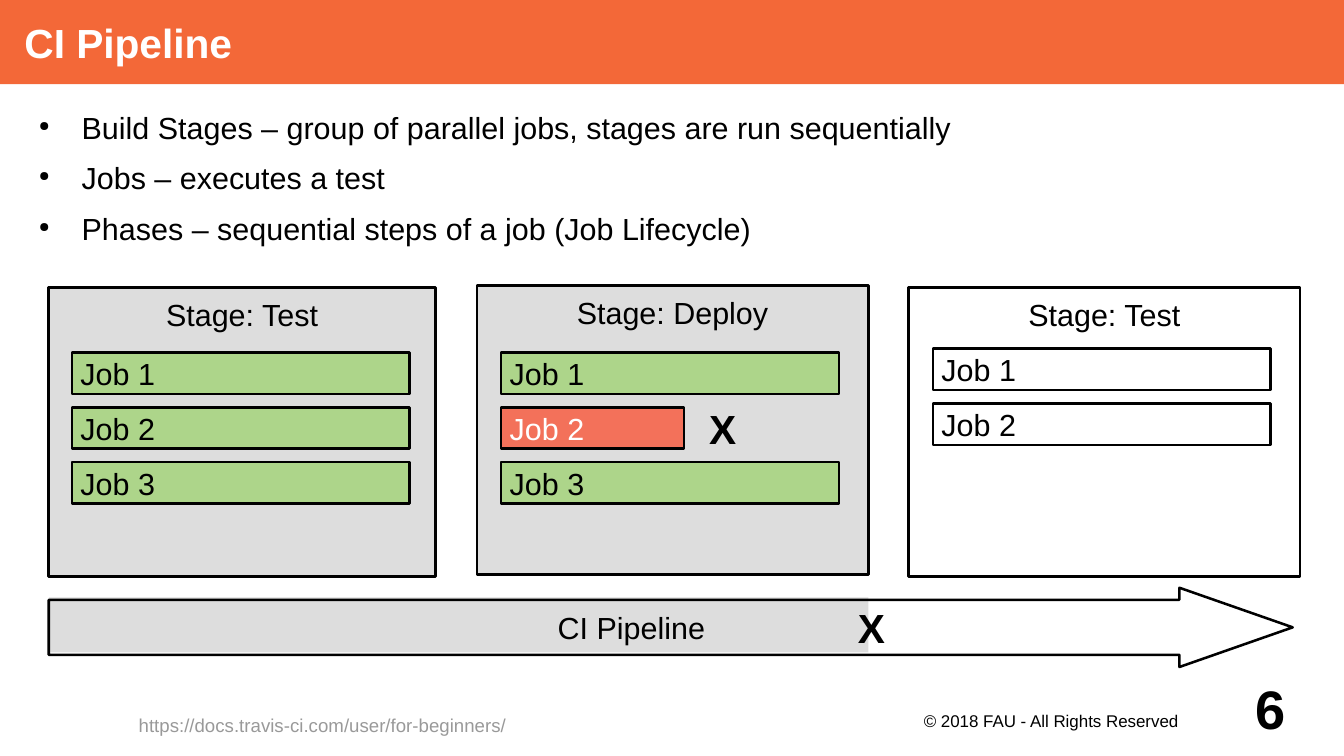
from dataclasses import dataclass
from typing import Optional

from lxml import etree
from pptx import Presentation
from pptx.dml.color import RGBColor
from pptx.enum.shapes import MSO_SHAPE
from pptx.enum.text import MSO_ANCHOR, PP_ALIGN
from pptx.oxml.ns import qn
from pptx.util import Inches, Pt

RECT, ARROW = MSO_SHAPE.RECTANGLE, MSO_SHAPE.RIGHT_ARROW
TOP, MIDDLE = MSO_ANCHOR.TOP, MSO_ANCHOR.MIDDLE
LEFT, CENTER, RIGHT = PP_ALIGN.LEFT, PP_ALIGN.CENTER, PP_ALIGN.RIGHT

BLACK = RGBColor(0x00, 0x00, 0x00)
WHITE = RGBColor(0xFF, 0xFF, 0xFF)
ORANGE = RGBColor(0xF3, 0x68, 0x38)
GRAY = RGBColor(0xDD, 0xDD, 0xDD)
LINK_GRAY = RGBColor(0x99, 0x99, 0x99)
GREEN = RGBColor(0xAD, 0xD5, 0x8A)
RED = RGBColor(0xF3, 0x71, 0x5A)

FONT = "Arial"
JOB_W, JOB_H, JOB_STEP = 2.77, 0.34, 0.45
SHAPE_INSETS = (0.07, 0.07, 0.07, 0.07)
BOX_INSETS = (0.08, 0.08, 0.08, 0.08)
NO_INSETS = (0, 0, 0, 0)


@dataclass
class Style:
    size: float = 18
    color: RGBColor = BLACK
    bold: bool = False
    align: PP_ALIGN = LEFT
    anchor: MSO_ANCHOR = MIDDLE
    insets: tuple = SHAPE_INSETS


@dataclass
class Job:
    name: str
    fill: Optional[RGBColor] = None
    width: float = JOB_W
    color: RGBColor = BLACK


@dataclass
class Stage:
    name: str
    x: float
    y: float
    width: float
    fill: Optional[RGBColor]
    job_x: float
    job_y: float
    jobs: list


BULLETS = [
    "Build Stages – group of parallel jobs, stages are run sequentially",
    "Jobs – executes a test",
    "Phases – sequential steps of a job (Job Lifecycle)",
]
STAGES = [
    Stage("Stage: Test", 0.4, 2.36, 3.17, GRAY, 0.59, 2.89,
          [Job("Job 1", GREEN), Job("Job 2", GREEN), Job("Job 3", GREEN)]),
    Stage("Stage: Deploy", 3.91, 2.34, 3.21, GRAY, 4.11, 2.89,
          [Job("Job 1", GREEN), Job("Job 2", RED, 1.5, WHITE), Job("Job 3", GREEN)]),
    Stage("Stage: Test", 7.45, 2.36, 3.21, None, 7.65, 2.86,
          [Job("Job 1"), Job("Job 2")]),
]


def write(sp, lines: list, style: Style) -> None:
    tf = sp.text_frame
    tf.text = "\n".join(lines)
    tf.word_wrap = True
    tf.vertical_anchor = style.anchor
    tf.margin_left, tf.margin_top, tf.margin_right, tf.margin_bottom = map(Inches, style.insets)
    for p in tf.paragraphs:
        p.alignment = style.align
        for r in p.runs:
            r.font.name, r.font.size = FONT, Pt(style.size)
            r.font.bold, r.font.color.rgb = style.bold, style.color


def add_box(s, box: tuple, fill: Optional[RGBColor], outlined: bool = True, kind: MSO_SHAPE = RECT):
    sp = s.shapes.add_shape(kind, *map(Inches, box))
    sp.shadow.inherit = False
    if fill is None:
        sp.fill.background()
    else:
        sp.fill.solid()
        sp.fill.fore_color.rgb = fill
    if outlined:
        sp.line.color.rgb = BLACK
        sp.line.width = Pt(1.5)
    else:
        sp.line.fill.background()
    return sp


def add_text(s, box: tuple, lines: list, style: Style):
    sp = s.shapes.add_textbox(*map(Inches, box))
    write(sp, lines, style)
    return sp


def add_bullet(p) -> None:
    pPr = p._p.get_or_add_pPr()
    pPr.set("marL", str(Inches(0.47)))
    pPr.set("indent", str(Inches(-0.35)))
    color = etree.SubElement(pPr, qn("a:buClr"))
    etree.SubElement(color, qn("a:srgbClr")).set("val", str(BLACK))
    etree.SubElement(pPr, qn("a:buSzPct")).set("val", "45000")
    etree.SubElement(pPr, qn("a:buChar")).set("char", "●")
    p.space_after = Pt(8.4)


def add_stage(s, stage: Stage) -> None:
    sp = add_box(s, (stage.x, stage.y, stage.width, 2.37), stage.fill)
    write(sp, [stage.name], Style(align=CENTER, anchor=TOP))
    for i, job in enumerate(stage.jobs):
        sp = add_box(s, (stage.job_x, stage.job_y + i * JOB_STEP, job.width, JOB_H), job.fill)
        write(sp, [job.name], Style(color=job.color))


def main() -> None:
    prs = Presentation()
    prs.slide_width, prs.slide_height = Inches(11.02), Inches(6.2)
    s = prs.slides.add_slide(prs.slide_layouts[6])

    # Title bar
    title = add_box(s, (0, 0, 11.02, 0.69), ORANGE, outlined=False)
    write(title, ["CI Pipeline"], Style(24, WHITE, True, insets=(0.2, 0, 0, 0)))

    # Definitions
    body = add_text(s, (0.2, 0.89, 10.63, 1.35), BULLETS, Style(anchor=TOP, insets=NO_INSETS))
    for p in body.text_frame.paragraphs:
        add_bullet(p)

    # Stages and their jobs
    for stage in STAGES:
        add_stage(s, stage)

    # Pipeline arrow with its progress
    add_box(s, (0.4, 4.9, 6.72, 0.45), GRAY, outlined=False)
    arrow = add_box(s, (0.4, 4.82, 10.2, 0.65), None, kind=ARROW)
    arrow.adjustments[0], arrow.adjustments[1] = 0.695, 1.429
    write(arrow, ["CI Pipeline"], Style(align=CENTER))

    # Failure marks
    for x, y in [(5.67, 3.23), (6.89, 4.86)]:
        add_text(s, (x, y, 0.51, 0.56), ["X"], Style(24, bold=True, align=CENTER, insets=BOX_INSETS))

    # Footer
    add_text(s, (0, 5.7, 5.29, 0.5), ["https://docs.travis-ci.com/user/for-beginners/"],
             Style(11, LINK_GRAY, align=CENTER, insets=BOX_INSETS))
    add_text(s, (6.59, 5.81, 3.15, 0.3), ["© 2018 FAU - All Rights Reserved"],
             Style(10, align=RIGHT, anchor=TOP, insets=(0, 0.02, 0.08, 0)))
    add_text(s, (9.75, 5.51, 0.79, 0.59), ["6"],
             Style(32, bold=True, align=RIGHT, insets=NO_INSETS))

    prs.save("out.pptx")


if __name__ == "__main__":
    main()
